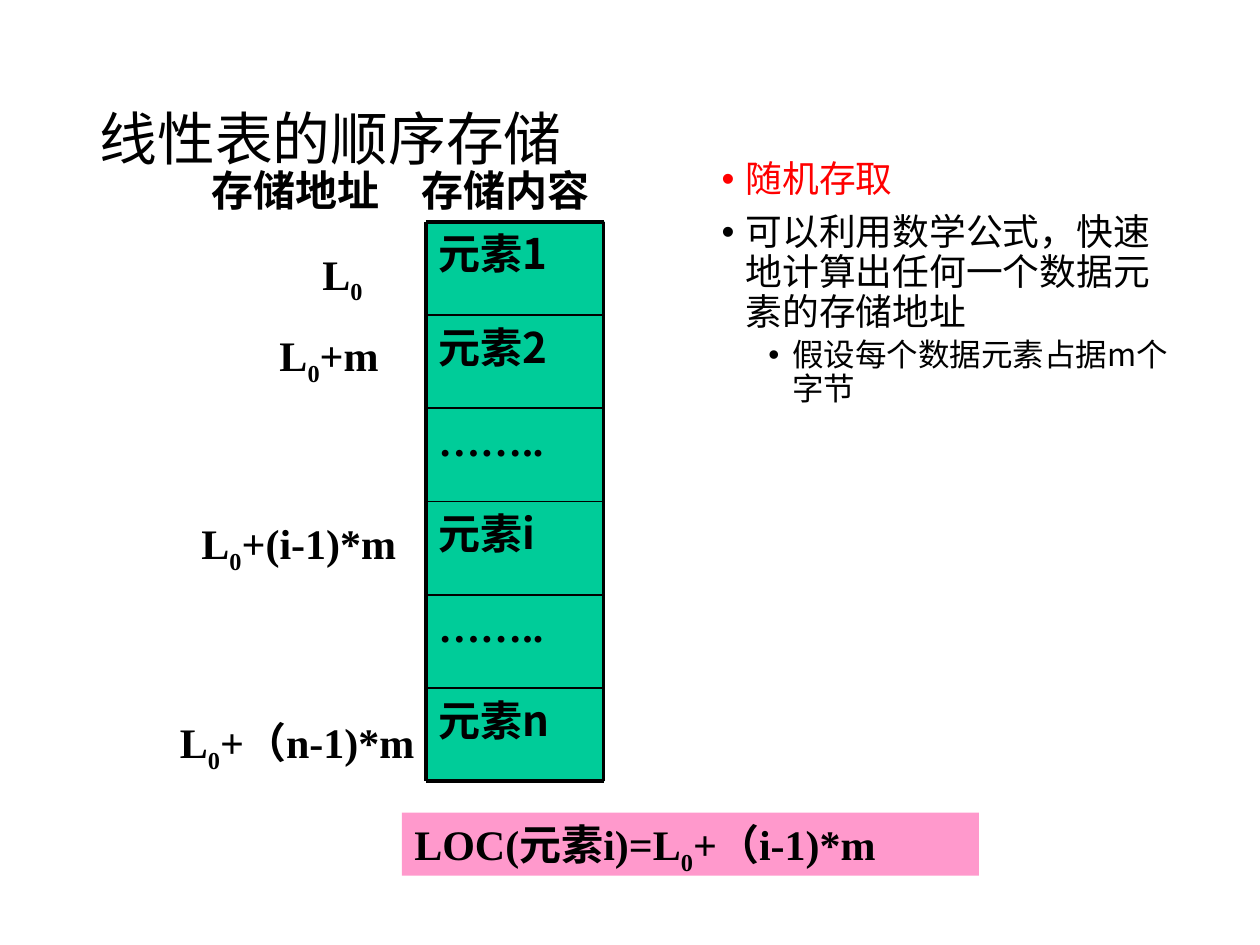
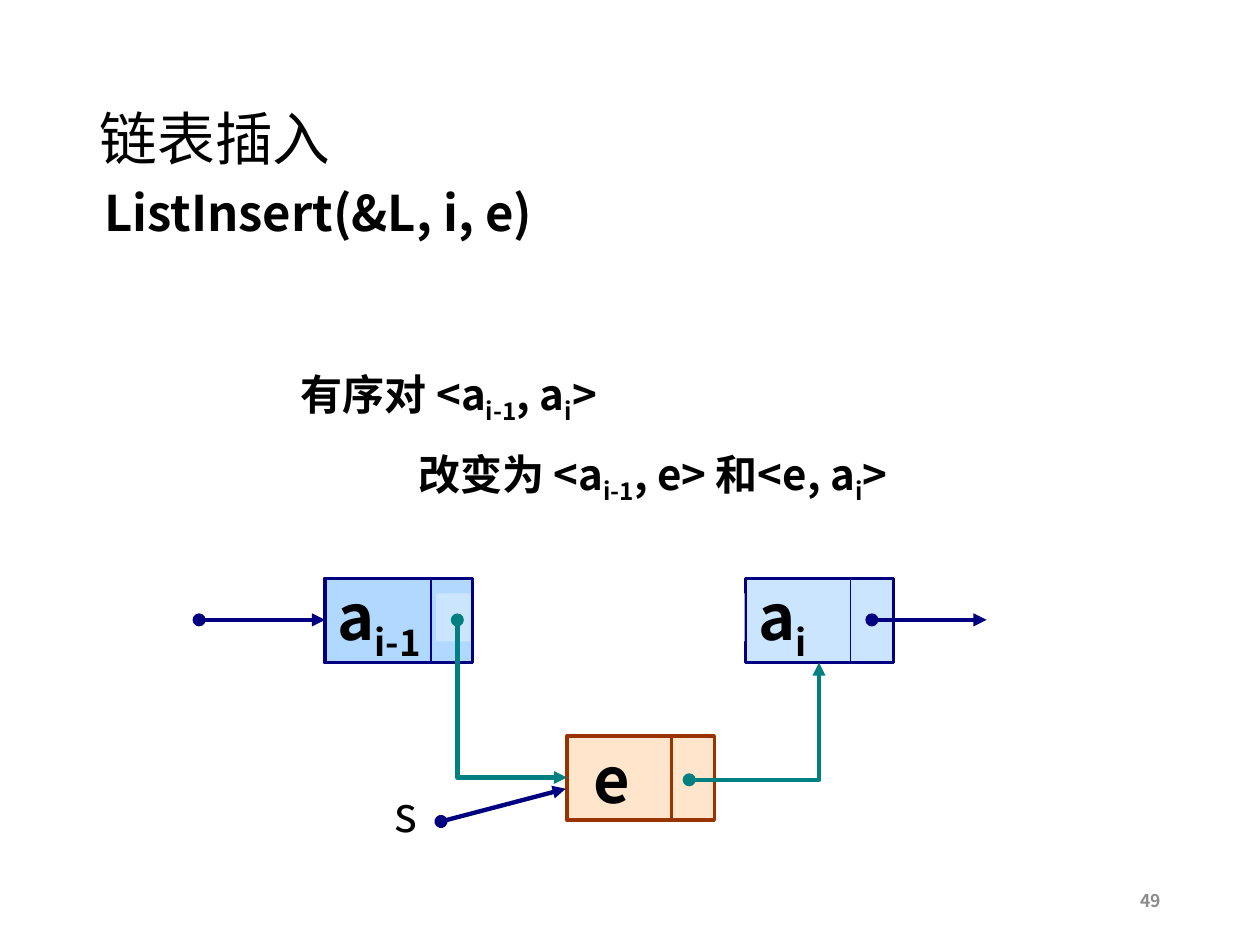
from lxml.etree import SubElement
from pptx import Presentation
from pptx.dml.color import RGBColor
from pptx.enum.shapes import MSO_CONNECTOR, MSO_SHAPE
from pptx.enum.text import MSO_ANCHOR, PP_ALIGN
from pptx.oxml.ns import qn
from pptx.util import Inches, Pt

SANS, SERIF = "Noto Sans CJK SC", "Times New Roman"
BLACK, RED, WHITE, GREY = "000000", "FF0000", "FFFFFF", "8C8C8C"
GREEN, PINK, BLUE, PEACH = "00CC99", "FF99CC", "99CCFF", "FFCC99"
NAVY, DIVIDER, BROWN, TEAL = "000080", "000099", "993300", "008080"


def paint(fill, colour):
    fill.solid()
    fill.fore_color.rgb = RGBColor.from_string(colour)


def write(para, text, size, face=SANS, bold=True, colour=BLACK):
    """Add runs; every second piece between bars is a subscript."""
    for number, piece in enumerate(text.split("|")):
        span = para.add_run()
        span.text = piece
        span.font.size, span.font.bold, span.font.name = Pt(size), bold, face
        paint(span.font.fill, colour)
        props = span.font._element
        SubElement(props, qn("a:ea")).set("typeface", SANS)
        if number % 2:
            props.set("baseline", "-25000")


deck = Presentation()
deck.slide_width, deck.slide_height = Inches(10), Inches(7.5)

# Pages and titles
pages = []
for heading in ("线性表的顺序存储", "链表插入"):
    page = deck.slides.add_slide(deck.slide_layouts[5])
    title = page.shapes.title
    title.left, title.top = Inches(0.69), Inches(0.4)
    title.width, title.height = Inches(8.62), Inches(1.45)
    title.text_frame.vertical_anchor = MSO_ANCHOR.MIDDLE
    para = title.text_frame.paragraphs[0]
    para.alignment, para.line_spacing = PP_ALIGN.LEFT, 0.9
    write(para, heading, 33, bold=False)
    pages.append(page)
storage, insertion = pages

# Storage cells and formula: text, face, left, top, width, height, fill
cell_left, cell_top, cell_width, cell_height = 3.38, 1.76, 1.42, 0.74
contents = ["元素1", "元素2", "……..", "元素i", "……..", "元素n"]
blocks = [(text, SERIF if text.startswith("…") else SANS, cell_left,
           cell_top + row * cell_height, cell_width, cell_height, GREEN)
          for row, text in enumerate(contents)]
blocks.append(("LOC(元素i)=L|0|+（i-1)*m", SERIF, 3.19, 6.45, 4.58, 0.5, PINK))
for text, face, left, top, width, height, fill in blocks:
    block = storage.shapes.add_shape(MSO_SHAPE.RECTANGLE, Inches(left), Inches(top),
                                     Inches(width), Inches(height))
    block.shadow.inherit = False
    paint(block.fill, fill)
    block.line.fill.background()
    block.text_frame.vertical_anchor = MSO_ANCHOR.TOP
    para = block.text_frame.paragraphs[0]
    para.alignment = PP_ALIGN.LEFT
    write(para, text, 24, face)

# List nodes; the white band lies between the two layers of the first node
node_width, node_height = 1.17, 0.67
nodes = [
    ("", 2.58, 4.59, node_width, node_height, BLUE, NAVY, 1.75),
    ("a|i", 5.92, 4.59, node_width, node_height, BLUE, NAVY, 1.75),
    ("", 3.46, 4.71, 2.45, 0.38, WHITE, None, 0),
    ("a|i-1", 2.58, 4.59, node_width, node_height, BLUE, NAVY, 1.75),
    (" e", 4.5, 5.84, node_width, node_height, PEACH, BROWN, 2),
]
for text, left, top, width, height, fill, outline, weight in nodes:
    node = insertion.shapes.add_shape(MSO_SHAPE.RECTANGLE, Inches(left), Inches(top),
                                      Inches(width), Inches(height))
    node.shadow.inherit = False
    paint(node.fill, fill)
    if outline:
        paint(node.line.fill, outline)
        node.line.width = Pt(weight)
        tint = node.element.spPr.find(qn("a:solidFill"))[0]
        SubElement(tint, qn("a:alpha")).set("val", "50000")
    else:
        node.line.fill.background()
    if text:
        node.text_frame.word_wrap = False
        node.text_frame.vertical_anchor = MSO_ANCHOR.MIDDLE
        para = node.text_frame.paragraphs[0]
        para.alignment = PP_ALIGN.LEFT
        write(para, text, 36)

# Lines: page, kind, x1, y1, x2, y2, colour, width, arrow, rotation
STRAIGHT, ELBOW = MSO_CONNECTOR.STRAIGHT, MSO_CONNECTOR.ELBOW
cell_right, cell_bottom = 4.79, cell_top + len(contents) * cell_height
lines = []
for row in range(len(contents) + 1):
    y = cell_top + row * cell_height
    weight = 2.25 if row in (0, len(contents)) else 1
    lines.append((storage, STRAIGHT, cell_left, y, cell_right, y, BLACK, weight, False, 0))
for x in (cell_left, cell_right):
    lines.append((storage, STRAIGHT, x, cell_top, x, cell_bottom, BLACK, 2.25, False, 0))
for x, y, colour, weight in ((3.42, 4.59, DIVIDER, 0.75), (6.75, 4.59, DIVIDER, 0.75),
                             (5.33, 5.84, BROWN, 2)):
    lines.append((insertion, STRAIGHT, x, y, x, y + node_height, colour, weight, False, 0))
lines += [
    (insertion, STRAIGHT, 1.58, 4.92, 2.58, 4.92, NAVY, 2.5, True, 0),
    (insertion, STRAIGHT, 6.92, 4.92, 7.83, 4.92, NAVY, 2.5, True, 0),
    (insertion, ELBOW, 3.44, 5.98, 4.69, 5.11, TEAL, 2.5, True, 90),
    (insertion, ELBOW, 5.47, 6.19, 6.5, 5.26, TEAL, 2.5, True, 0),
    (insertion, STRAIGHT, 3.5, 6.52, 4.49, 6.26, NAVY, 2.5, True, 0),
]
for page, kind, x1, y1, x2, y2, colour, weight, arrow, rotation in lines:
    line = page.shapes.add_connector(kind, Inches(x1), Inches(y1), Inches(x2), Inches(y2))
    paint(line.line.fill, colour)
    line.line.width = Pt(weight)
    props = line.element.spPr
    if arrow:
        stroke = props.find(qn("a:ln"))
        SubElement(stroke, qn("a:headEnd")).set("type", "oval")
        SubElement(stroke, qn("a:tailEnd")).set("type", "triangle")
    if kind == ELBOW:
        props.find(qn("a:prstGeom")).set("prst", "bentConnector2")
    if rotation:
        props.find(qn("a:xfrm")).set("rot", str(rotation * 60000))
    SubElement(props, qn("a:effectLst"))

# One-line labels: page, text, left, top, width, height, size, face, bold, colour, alignment
LEFT, RIGHT = PP_ALIGN.LEFT, PP_ALIGN.RIGHT
labels = [(storage, text, left, top, width, 0.5, 24, SERIF, True, BLACK, LEFT)
          for text, left, top, width in (
              ("存储地址", 1.58, 1.26, 1.71),
              ("存储内容", 3.25, 1.26, 1.58),
              ("L|0", 2.46, 1.92, 0.83),
              ("L|0|+m", 2.12, 2.57, 1.17),
              ("L|0|+(i-1)*m", 1.5, 4.06, 2.12),
              ("L|0|+（n-1)*m", 1.33, 5.64, 2.08))]
labels += [
    (insertion, "ListInsert(&L, i, e)", 0.73, 1.31, 4.43, 0.67, 28, SANS, True, BLACK, LEFT),
    (insertion, "s", 2.87, 6.17, 0.54, 0.57, 28, SANS, False, BLACK, RIGHT),
    (insertion, "49", 7.06, 6.95, 2.25, 0.4, 10, SANS, True, GREY, RIGHT),
]
for page, text, left, top, width, height, size, face, bold, colour, side in labels:
    box = page.shapes.add_textbox(Inches(left), Inches(top), Inches(width), Inches(height))
    box.text_frame.word_wrap = True
    para = box.text_frame.paragraphs[0]
    para.alignment = side
    if text.startswith("ListInsert"):
        para.line_spacing = 1.2
    if text == "49":
        box.text_frame.vertical_anchor = MSO_ANCHOR.MIDDLE
    write(para, text, size, face, bold, colour)

# Bulleted notes: text, size, colour, left margin, space before
notes = [
    ("随机存取", 21, RED, 0.19, 7.5),
    ("可以利用数学公式，快速地计算出任何一个数据元素的存储地址", 21, BLACK, 0.19, 7.5),
    ("假设每个数据元素占据m个字节", 18, BLACK, 0.56, 3.8),
]
box = storage.shapes.add_textbox(Inches(5.63), Inches(1.23), Inches(3.84), Inches(5.65))
box.text_frame.word_wrap = True
for number, (text, size, colour, margin, gap) in enumerate(notes):
    para = box.text_frame.add_paragraph() if number else box.text_frame.paragraphs[0]
    para.line_spacing, para.space_before = 0.9, Pt(gap)
    props = para._p.get_or_add_pPr()
    props.set("marL", str(Inches(margin)))
    props.set("indent", str(Inches(-0.19)))
    SubElement(props, qn("a:buFont")).set("typeface", "Arial")
    SubElement(props, qn("a:buChar")).set("char", "•")
    write(para, text, size, bold=False, colour=colour)

# Ordered pairs before and after the insertion
box = insertion.shapes.add_textbox(Inches(2.23), Inches(2.69), Inches(5.4), Inches(1.64))
box.text_frame.word_wrap = True
pairs = [("有序对 <a|i-1|, a|i|>", 0.06), ("改变为 <a|i-1|, e> 和<e, a|i|>", 0.99)]
for number, (text, margin) in enumerate(pairs):
    para = box.text_frame.add_paragraph() if number else box.text_frame.paragraphs[0]
    para.line_spacing = 1.4
    para._p.get_or_add_pPr().set("marL", str(Inches(margin)))
    write(para, text, 24)

deck.save("out.pptx")
